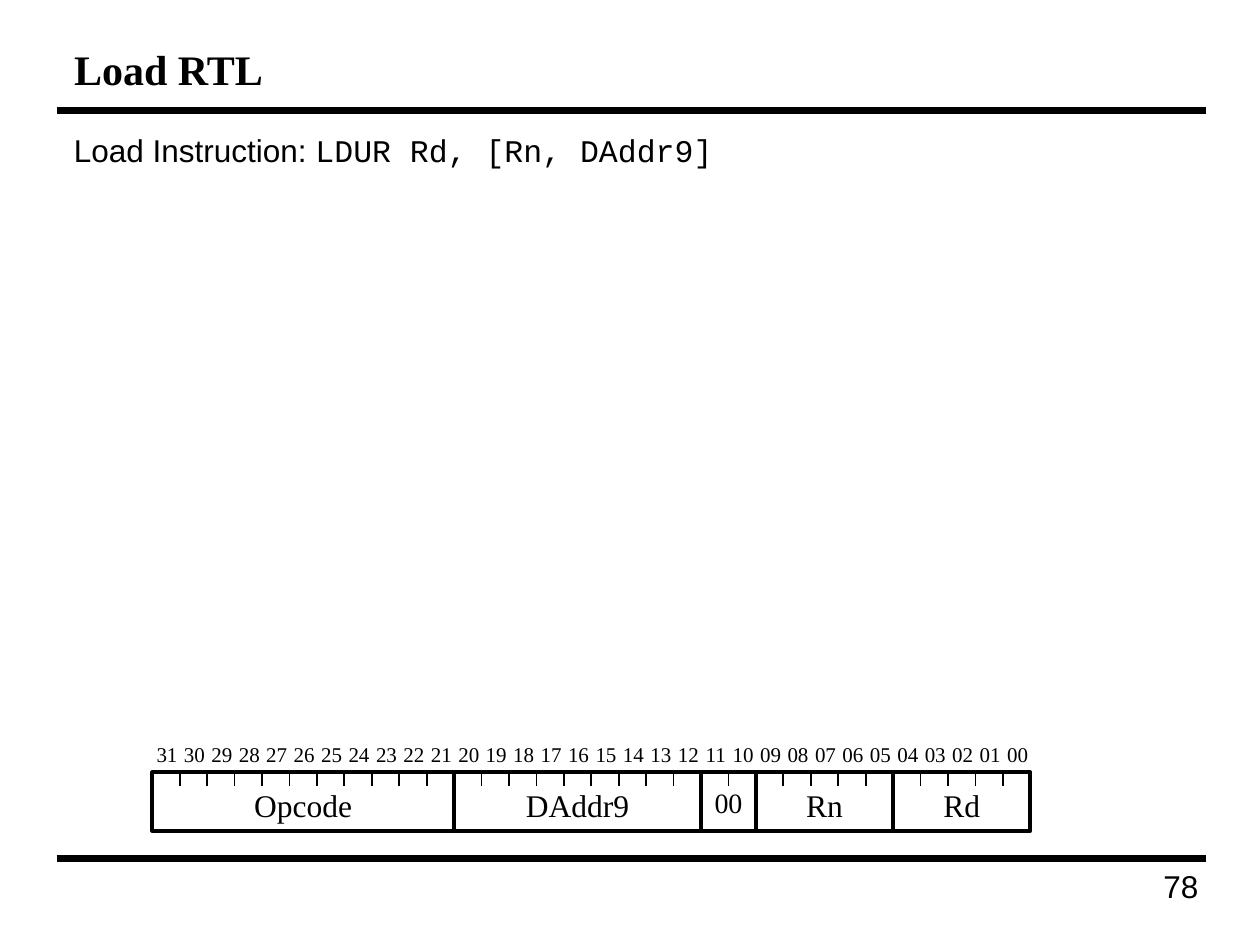
import pptx
import pptx.dml.color
import pptx.enum.shapes
import pptx.enum.text
import pptx.util
from pptx.util import Cm

COLORS = {"ink": "000000", "paper": "FFFFFF"}
SERIF, SANS, MONO = "Times New Roman", "Arial", "Courier New"
ALIGN = pptx.enum.text.PP_ALIGN
FIT = pptx.enum.text.MSO_AUTO_SIZE

TITLE = "Load RTL"
INSTRUCTION = [("Load Instruction: ", SANS), ("LDUR Rd, [Rn, DAddr9]", MONO)]
PAGE_NUMBER = "78"
FIELDS = [
    ("Opcode", 11, 18),
    ("DAddr9", 9, 18),
    ("00", 2, 16),
    ("Rn", 5, 18),
    ("Rd", 5, 18),
]

RULE_LEFT, RULE_RIGHT = 1.14, 24.31
RULE_TOPS = [2.23, 17.3]
WORD_LEFT, WORD_TOP, WORD_WIDTH, WORD_HEIGHT = 3.07, 15.57, 17.7, 1.18
TICK_HEIGHT = 0.28
BITS = sum(bits for _, bits, _ in FIELDS)
BIT_WIDTH = WORD_WIDTH / BITS
BIT_LABEL_WIDTH = 0.94


def color(key):
    """Return the named colour."""
    return pptx.dml.color.RGBColor.from_string(COLORS[key])


def fill_text(frame, runs, size, align, bold=False, **frame_format):
    """Write one formatted paragraph of (text, font) runs into a frame."""
    settings = {"word_wrap": True, "auto_size": FIT.NONE, **frame_format}
    for name, value in settings.items():
        setattr(frame, name, value)
    paragraph = frame.paragraphs[0]
    paragraph.alignment = align
    for text, font_name in runs:
        run = paragraph.add_run()
        run.text = text
        font_format = {"name": font_name, "size": pptx.util.Pt(size), "bold": bold}
        for name, value in font_format.items():
            setattr(run.font, name, value)
        run.font.color.rgb = color("ink")


def add_text(slide, box, runs, size, align, **frame_format):
    """Add a text box at a (left, top, width, height) given in centimetres."""
    frame = slide.shapes.add_textbox(*map(Cm, box)).text_frame
    fill_text(frame, runs, size, align, **frame_format)


def add_line(slide, start, end, weight):
    """Add a straight line between two points given in centimetres."""
    line = slide.shapes.add_connector(
        pptx.enum.shapes.MSO_CONNECTOR.STRAIGHT, *map(Cm, start + end)
    )
    line.line.color.rgb = color("ink")
    line.line.width = pptx.util.Pt(weight)
    pptx.oxml.xmlchemy.OxmlElement
    line._element.spPr.append(pptx.oxml.xmlchemy.OxmlElement("a:effectLst"))


def add_instruction_word(slide):
    """Draw the instruction word with its bit numbers and fields."""
    word = slide.shapes.add_shape(
        pptx.enum.shapes.MSO_SHAPE.RECTANGLE,
        *map(Cm, (WORD_LEFT, WORD_TOP, WORD_WIDTH, WORD_HEIGHT)),
    )
    word.shadow.inherit = False
    word.fill.solid()
    word.fill.fore_color.rgb = color("paper")
    word.line.color.rgb = color("ink")
    word.line.width = pptx.util.Pt(2.25)

    for tick in range(BITS + 1):
        x = WORD_LEFT + tick * BIT_WIDTH
        add_line(slide, (x, WORD_TOP), (x, WORD_TOP + TICK_HEIGHT), 1)

    for column in range(BITS):
        center = WORD_LEFT + (column + 0.5) * BIT_WIDTH + 0.02
        box = (center - BIT_LABEL_WIDTH / 2, 14.83, BIT_LABEL_WIDTH, 0.76)
        number = f"{BITS - 1 - column:02d}"
        add_text(slide, box, [(number, SERIF)], 12, ALIGN.CENTER,
                 word_wrap=False, auto_size=FIT.SHAPE_TO_FIT_TEXT)

    x = WORD_LEFT
    for label, bits, size in FIELDS:
        if x > WORD_LEFT:
            add_line(slide, (x, WORD_TOP), (x, WORD_TOP + WORD_HEIGHT), 2.25)
        width = bits * BIT_WIDTH
        add_text(slide, (x, 15.72, width, 1.02), [(label, SERIF)], size,
                 ALIGN.CENTER, auto_size=FIT.SHAPE_TO_FIT_TEXT)
        x += width


def main():
    """Build the load instruction slide."""
    deck = pptx.Presentation()
    deck.slide_width, deck.slide_height = Cm(25.4), Cm(19.05)
    slide = deck.slides.add_slide(deck.slide_layouts[5])

    for y in RULE_TOPS:
        add_line(slide, (RULE_LEFT, y), (RULE_RIGHT, y), 4)

    title = slide.shapes.title
    place = {"left": 1.24, "top": 0.64, "width": 22.96, "height": 1.47}
    for name, value in place.items():
        setattr(title, name, Cm(value))
    fill_text(title.text_frame, [(TITLE, SERIF)], 24, ALIGN.LEFT, bold=True,
              vertical_anchor=pptx.enum.text.MSO_ANCHOR.MIDDLE)

    add_text(slide, (1.24, 2.51, 22.96, 14.63), INSTRUCTION, 18, ALIGN.LEFT)
    add_instruction_word(slide)
    add_text(slide, (19.2, 17.35, 5.21, 1.24), [(PAGE_NUMBER, SANS)], 18, ALIGN.RIGHT)
    deck.save("out.pptx")


if __name__ == "__main__":
    main()
